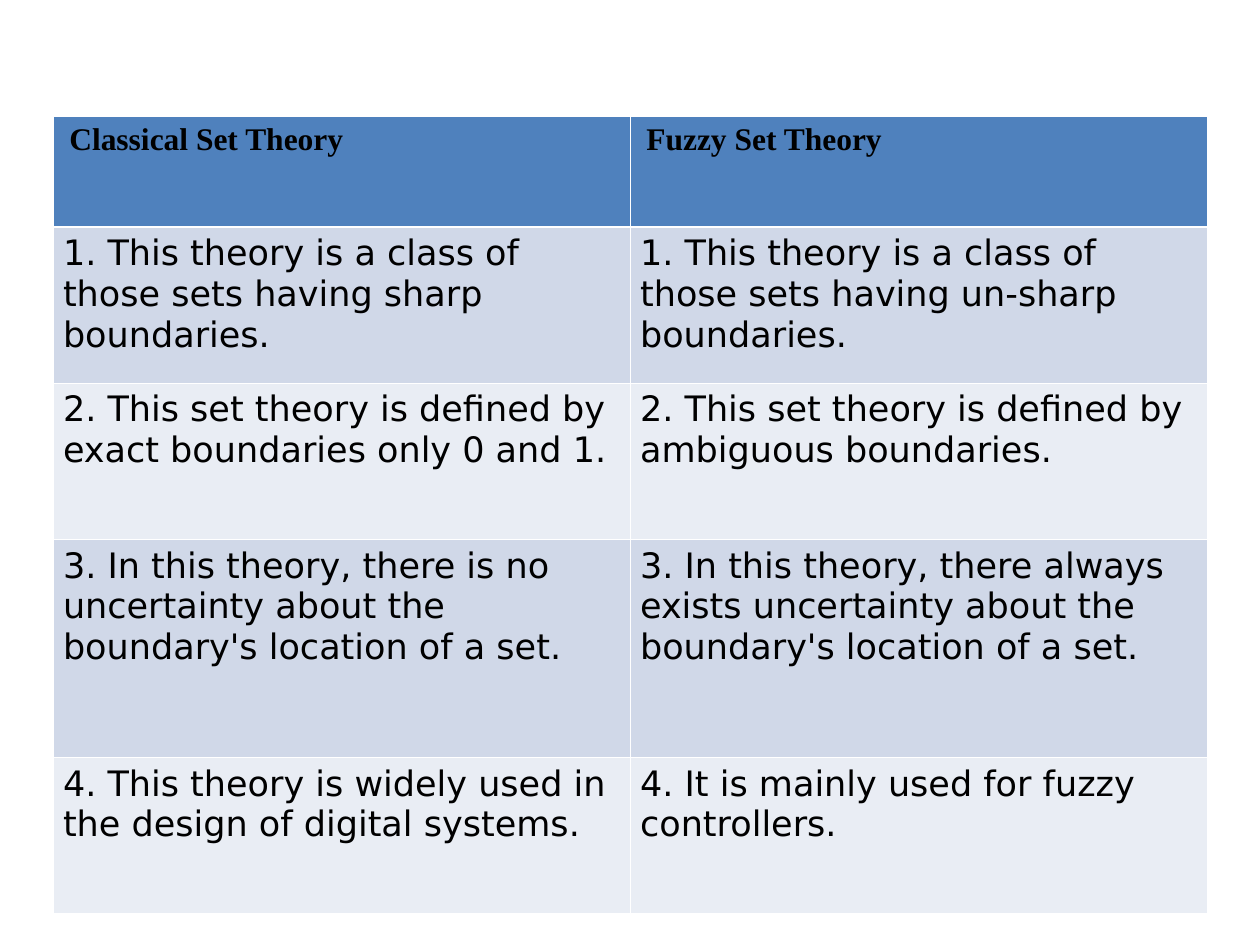
"""Build a slide comparing classical and fuzzy set theory in a two-column table."""
from lxml.etree import SubElement
from pptx import Presentation
from pptx.dml.color import RGBColor
from pptx.oxml.ns import qn
from pptx.util import Inches, Pt

THEME = {
    "header": {"fill": "4F81BD", "margin": 0.13,
               "font": {"name": "Times New Roman", "size": Pt(18), "bold": True}},
    "body": {"fills": ("D0D8E8", "E9EDF4"), "margin": 0.08,
             "font": {"name": "DejaVu Sans", "size": Pt(20), "bold": False}},
    "text": "000000",
    "border": "FFFFFF",
    "thin": 0.45,
    "thick": 1.47,
}
COMPARISON = [
    ("Classical Set Theory", "Fuzzy Set Theory"),
    ("1. This theory is a class of those sets having sharp boundaries.",
     "1. This theory is a class of those sets having un-sharp boundaries."),
    ("2. This set theory is defined by exact boundaries only 0 and 1.",
     "2. This set theory is defined by ambiguous boundaries."),
    ("3. In this theory, there is no uncertainty about the boundary's location of a set.",
     "3. In this theory, there always exists uncertainty about the boundary's location of a set."),
    ("4. This theory is widely used in the design of digital systems.",
     "4. It is mainly used for fuzzy controllers."),
]
ROW_HEIGHTS = [0.88, 1.24, 1.24, 1.73, 1.24]
COLUMN_WIDTH = 4.58


def add_border(cell, side, points):
    line = SubElement(cell._tc.get_or_add_tcPr(), qn(f"a:ln{side}"), w=str(Pt(points)))
    fill = SubElement(line, qn("a:solidFill"))
    SubElement(fill, qn("a:srgbClr"), val=THEME["border"])


presentation = Presentation()
presentation.slide_width, presentation.slide_height = Inches(10), Inches(7.5)
slide = presentation.slides.add_slide(presentation.slide_layouts[6])

table = slide.shapes.add_table(
    len(COMPARISON), 2, Inches(0.42), Inches(0.92),
    Inches(2 * COLUMN_WIDTH), Inches(sum(ROW_HEIGHTS))).table
for column in table.columns:
    column.width = Inches(COLUMN_WIDTH)

for row_index, (texts, height) in enumerate(zip(COMPARISON, ROW_HEIGHTS)):
    table.rows[row_index].height = Inches(height)
    style = THEME["body"] if row_index else THEME["header"]
    fill_color = style["fills"][(row_index - 1) % 2] if row_index else style["fill"]
    thick_side = {0: "B", 1: "T"}.get(row_index)
    for column_index, text in enumerate(texts):
        cell = table.cell(row_index, column_index)
        for side in "LRTB":
            add_border(cell, side, THEME["thick"] if side == thick_side else THEME["thin"])
        cell.fill.solid()
        cell.fill.fore_color.rgb = RGBColor.from_string(fill_color)
        cell.margin_left = cell.margin_right = Inches(style["margin"])
        cell.margin_top = cell.margin_bottom = Inches(0.05)
        cell.text = text
        font = cell.text_frame.paragraphs[0].runs[0].font
        for attribute, value in style["font"].items():
            setattr(font, attribute, value)
        font.color.rgb = RGBColor.from_string(THEME["text"])

presentation.save("out.pptx")
